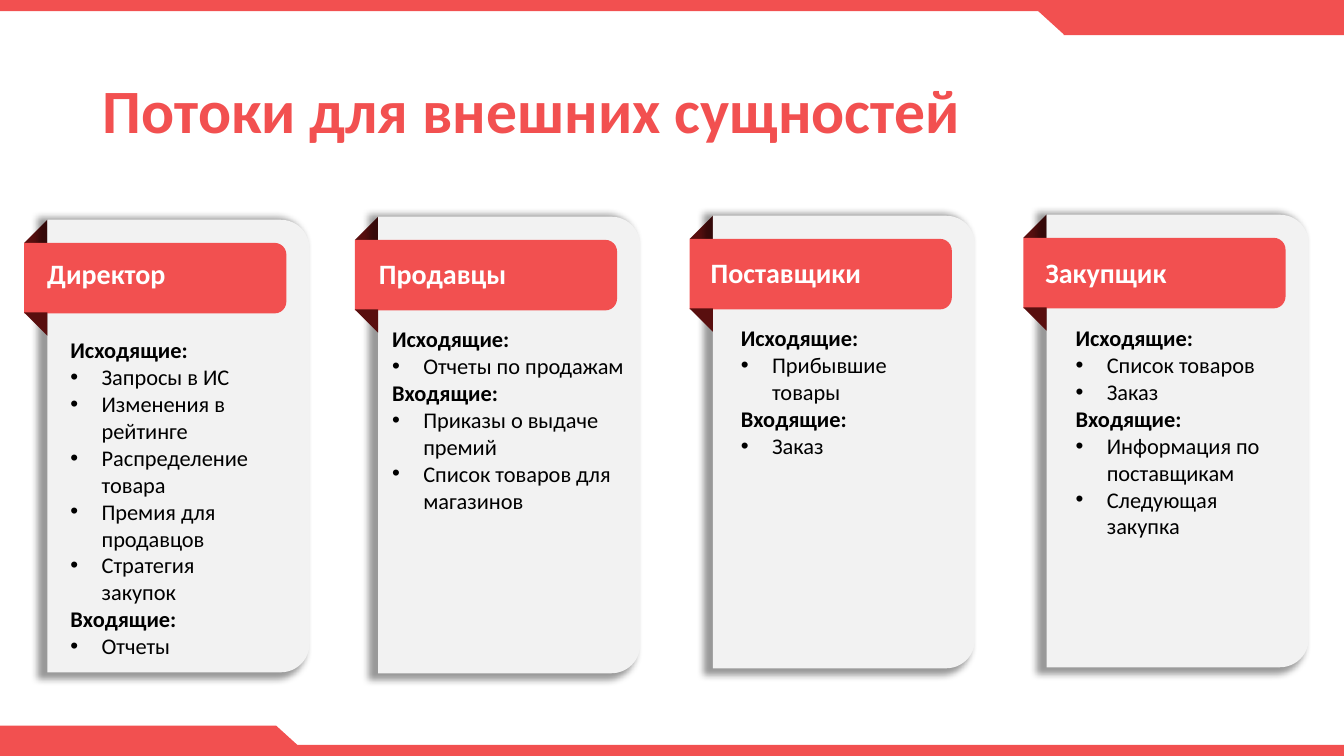
from dataclasses import dataclass

from lxml import etree
from pptx import Presentation
from pptx import util as u
from pptx.dml.color import RGBColor
from pptx.enum import shapes, text
from pptx.oxml.ns import qn

Inches = u.Inches
KIND = shapes.MSO_SHAPE


@dataclass(frozen=True)
class Theme:
    red: str = "F25050"
    dark: str = "590F0F"
    panel: str = "F2F2F2"
    white: str = "FFFFFF"
    black: str = "000000"
    font: str = "Calibri"
    title: int = 44
    head: int = 20
    body: int = 16


THEME = Theme()
OUT, INTO = "Исходящие:", "Входящие:"

# name, left and top, card height, name box, list box, flows
CARDS = [
    ("Директор", (0.24, 2.18), 4.49, (0.37, 2.5, 2.47, 0.44), (0.6, 3.29, 2.01, 3.33),
     {OUT: ["Запросы в ИС", "Изменения в рейтинге", "Распределение товара",
            "Премия для продавцов", "Стратегия закупок"],
      INTO: ["Отчеты"]}),
    ("Продавцы", (3.52, 2.15), 4.53, (3.66, 2.5, 2.67, 0.44), (3.79, 3.18, 2.6, 1.99),
     {OUT: ["Отчеты по продажам"],
      INTO: ["Приказы о выдаче премий", "Список товаров для магазинов"]}),
    ("Поставщики", (6.84, 2.14), 4.49, (6.95, 2.49, 2.42, 0.44), (7.25, 3.17, 2.3, 1.45),
     {OUT: ["Прибывшие товары"], INTO: ["Заказ"]}),
    ("Закупщик", (10.15, 2.13), 4.49, (10.27, 2.49, 2.42, 0.44), (10.57, 3.17, 2.3, 2.26),
     {OUT: ["Список товаров", "Заказ"],
      INTO: ["Информация по поставщикам", "Следующая закупка"]}),
]


def add_block(slide, kind, box, fill, turn=0):
    item = slide.shapes.add_shape(kind, *map(Inches, box))
    item.shadow.inherit = False
    item.fill.solid()
    item.fill.fore_color.rgb = RGBColor.from_string(fill)
    item.line.fill.background()
    item.rotation = turn
    return item


def add_tab(slide, left, top, wide, high, fill):
    """Add a panel with round right corners, placed by its visible box."""
    shift = (wide - high) / 2
    box = (left + shift, top - shift, high, wide)
    return add_block(slide, KIND.ROUND_2_SAME_RECTANGLE, box, fill, 90)


def add_glow(item):
    """Give the shape a soft shadow on all sides."""
    effect = item._element.spPr.find(qn("a:effectLst"))
    outer = etree.SubElement(effect, qn("a:outerShdw"), blurRad=str(u.Pt(5)),
                             sx="102000", sy="102000", algn="ctr", rotWithShape="0")
    color = etree.SubElement(outer, qn("a:srgbClr"), val=THEME.black)
    etree.SubElement(color, qn("a:alpha"), val="40000")


def set_bullet(para):
    props = para._p.get_or_add_pPr()
    indent = Inches(0.31)
    props.set("marL", str(indent))
    props.set("indent", str(-indent))
    etree.SubElement(props, qn("a:buFont"), typeface="Arial")
    etree.SubElement(props, qn("a:buChar"), char="•")


def add_text(slide, box, lines, size, color, space=None, anchor=None, grow=True):
    """Write lines of (words, bold, bullet) in a text box."""
    frame = slide.shapes.add_textbox(*map(Inches, box)).text_frame
    frame.word_wrap = True
    if grow:
        frame.auto_size = text.MSO_AUTO_SIZE.SHAPE_TO_FIT_TEXT
    if anchor is not None:
        frame.vertical_anchor = anchor
    for i, (words, bold, bullet) in enumerate(lines):
        para = frame.add_paragraph() if i else frame.paragraphs[0]
        if space:
            para.line_spacing = space
        if bullet:
            set_bullet(para)
        run = para.add_run()
        run.text = words
        run.font.name = THEME.font
        run.font.size = u.Pt(size)
        run.font.bold = bold
        run.font.color.rgb = RGBColor.from_string(color)


def add_frame(slide):
    """Add the red bands and their slanted corners."""
    for top in (0, 7.39):
        add_block(slide, KIND.RECTANGLE, (0, top, 13.33, 0.11), THEME.red)
    for left, top, slant, rise, turn in ((10.55, 0.05, 10.22, 0.04, 0),
                                         (-0.04, 7.2, 2.41, 7.2, 180)):
        add_block(slide, KIND.RECTANGLE, (left, top, 2.78, 0.3), THEME.red)
        add_block(slide, KIND.FLOWCHART_MERGE, (slant, rise, 0.66, 0.3), THEME.red, turn)


def add_card(slide, name, spot, high, head, body, flows):
    left, top = spot
    fold = 0.23
    add_block(slide, KIND.RIGHT_TRIANGLE, (left, top, fold, fold), THEME.dark, 270)
    panel = add_tab(slide, left + fold, top, 2.6, high, THEME.panel)
    panel.adjustments[0] = 0.11
    add_glow(panel)
    add_tab(slide, left, top + fold, 2.6, 0.7, THEME.red)
    add_block(slide, KIND.RIGHT_TRIANGLE, (left, top + 0.92, fold, fold), THEME.dark, 180)
    lines = []
    for group, items in flows.items():
        lines.append((group, True, False))
        lines += [(item, False, True) for item in items]
    add_text(slide, body, lines, THEME.body, THEME.black)
    add_text(slide, head, [(name, True, False)], THEME.head, THEME.white)


def main():
    deck = Presentation()
    deck.slide_width, deck.slide_height = Inches(13.33), Inches(7.5)
    slide = deck.slides.add_slide(deck.slide_layouts[6])
    add_frame(slide)
    for card in CARDS:
        add_card(slide, *card)
    add_text(slide, (0.92, 0.4, 11.5, 1.45), [("Потоки для внешних сущностей", True, False)],
             THEME.title, THEME.red, space=0.9, anchor=text.MSO_ANCHOR.MIDDLE, grow=False)
    deck.save("out.pptx")


if __name__ == "__main__":
    main()
